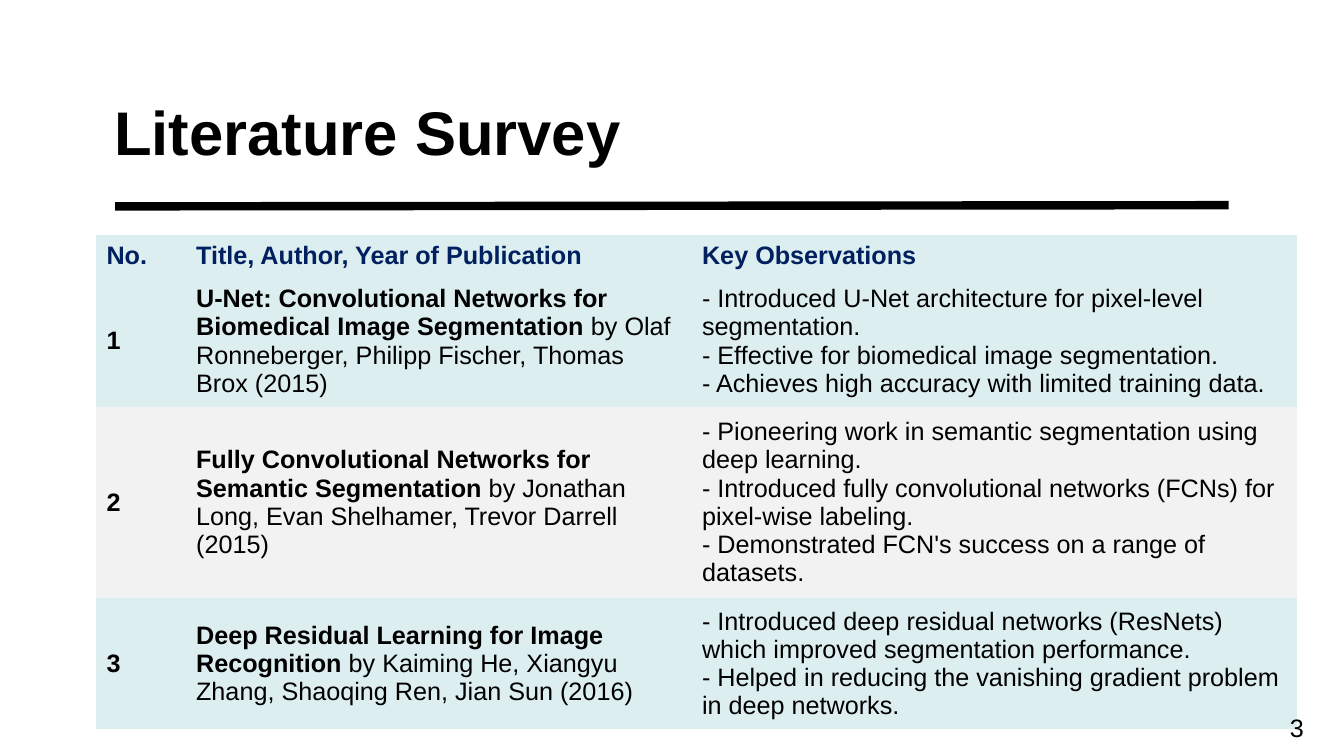
from copy import deepcopy

from lxml.etree import SubElement
from pptx import Presentation
from pptx.dml.color import RGBColor
from pptx.enum.shapes import MSO_CONNECTOR
from pptx.enum.text import MSO_ANCHOR
from pptx.oxml.ns import qn
from pptx.util import Cm, Pt

COLOURS = {"ink": "000000", "heading": "002060", "aqua": "DDEEF1", "grey": "F2F2F2"}
PLAIN_GRID = "{2D5ABB26-0587-4C30-8999-92F81FD0307C}"

HEADINGS = ["No.", "Title, Author, Year of Publication", "Key Observations"]
PAPERS = [
    (
        "U-Net: Convolutional Networks for Biomedical Image Segmentation",
        " by Olaf Ronneberger, Philipp Fischer, Thomas Brox (2015)",
        [
            "- Introduced U-Net architecture for pixel-level segmentation.",
            "- Effective for biomedical image segmentation.",
            "- Achieves high accuracy with limited training data.",
        ],
    ),
    (
        "Fully Convolutional Networks for Semantic Segmentation",
        " by Jonathan Long, Evan Shelhamer, Trevor Darrell (2015)",
        [
            "- Pioneering work in semantic segmentation using deep learning.",
            "- Introduced fully convolutional networks (FCNs) for pixel-wise labeling.",
            "- Demonstrated FCN's success on a range of datasets.",
        ],
    ),
    (
        "Deep Residual Learning for Image Recognition",
        " by Kaiming He, Xiangyu Zhang, Shaoqing Ren, Jian Sun (2016)",
        [
            "- Introduced deep residual networks (ResNets) which improved segmentation performance.",
            "- Helped in reducing the vanishing gradient problem in deep networks.",
        ],
    ),
]


class SurveySlide:
    font = "Arial"
    body_size = 18

    def __init__(self, slide):
        self.slide = slide

    def colour(self, name):
        return RGBColor.from_string(COLOURS[name])

    def style(self, run, size=body_size, bold=False, colour="ink"):
        run.font.name = self.font
        run.font.size = Pt(size)
        run.font.bold = bold
        run.font.color.rgb = self.colour(colour)

    def text(self, words, left, top, width, height, inset=None, spacing=None, **style):
        box = self.slide.shapes.add_textbox(Cm(left), Cm(top), Cm(width), Cm(height))
        frame = box.text_frame
        frame.word_wrap = True
        if inset is not None:
            frame.margin_left = frame.margin_right = Cm(inset)
            frame.margin_top = frame.margin_bottom = Cm(inset)
        frame.text = words
        frame.paragraphs[0].line_spacing = spacing
        self.style(frame.paragraphs[0].runs[0], **style)

    def rule(self, start, end, weight):
        line = self.slide.shapes.add_connector(
            MSO_CONNECTOR.STRAIGHT, *(Cm(value) for value in (*start, *end))
        )
        line.line.color.rgb = self.colour("ink")
        line.line.width = Pt(weight)
        SubElement(line._element.spPr, qn("a:effectLst"))

    def table(self, left, top, widths, heights, frame_height):
        frame = self.slide.shapes.add_table(
            len(heights), len(widths),
            Cm(left), Cm(top), Cm(sum(widths)), Cm(frame_height),
        )
        grid = frame.table
        grid.first_row = grid.horz_banding = False
        grid._tbl.tblPr.find(qn("a:tableStyleId")).text = PLAIN_GRID
        for column, width in zip(grid.columns, widths):
            column.width = Cm(width)
        for row, height in zip(grid.rows, heights):
            row.height = Cm(height)
        frame.height = Cm(frame_height)
        return grid

    def cell(self, cell, words, fill, byline="", **style):
        cell.fill.solid()
        cell.fill.fore_color.rgb = self.colour(fill)
        cell.vertical_anchor = MSO_ANCHOR.MIDDLE
        paragraph = cell.text_frame.paragraphs[0]
        paragraph.text = words
        for run in paragraph.runs:
            self.style(run, **style)
        for line_break in paragraph._p.findall(qn("a:br")):
            line_break.insert(0, deepcopy(paragraph.runs[0]._r.rPr))
        if byline:
            authors = paragraph.add_run()
            authors.text = byline
            self.style(authors)


def main():
    deck = Presentation()
    deck.slide_width, deck.slide_height = Cm(33.87), Cm(19.05)
    survey = SurveySlide(deck.slides.add_slide(deck.slide_layouts[6]))

    survey.rule((2.9, 5.2), (30.96, 5.17), 6)
    survey.text("Literature Survey", 2.88, 2.58, 21.69, 1.8,
                inset=0, spacing=0.9, size=44, bold=True)

    papers = survey.table(2.43, 5.93, [2.26, 12.75, 15.24],
                          [0.96, 3.18, 4.62, 3.25], 12.45)
    for column, heading in enumerate(HEADINGS):
        survey.cell(papers.cell(0, column), heading, "aqua", bold=True, colour="heading")
    for number, (title, byline, observations) in enumerate(PAPERS, 1):
        fill = "aqua" if number % 2 else "grey"
        survey.cell(papers.cell(number, 0), str(number), fill, bold=True)
        survey.cell(papers.cell(number, 1), title, fill, byline, bold=True)
        survey.cell(papers.cell(number, 2), "\v".join(observations), fill)

    survey.text("3", 32.26, 17.83, 1.3, 1.02)
    deck.save("out.pptx")


if __name__ == "__main__":
    main()
